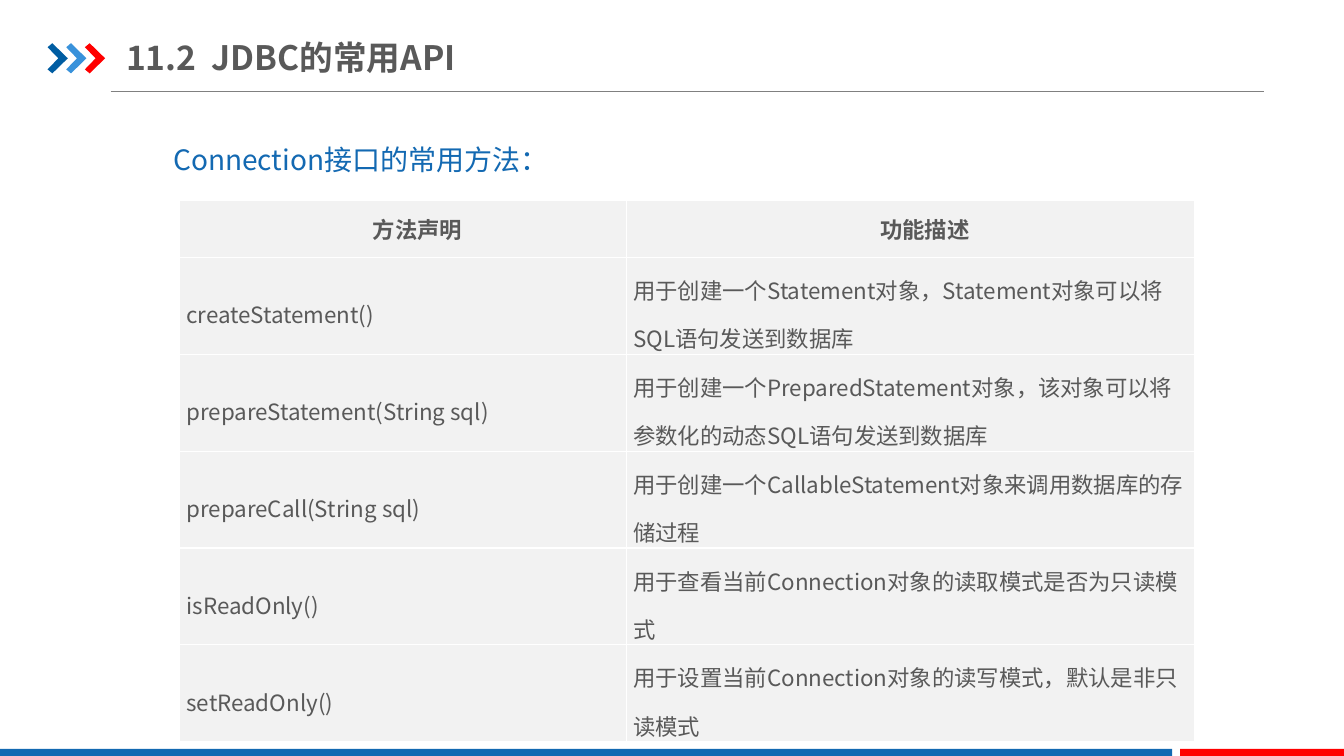
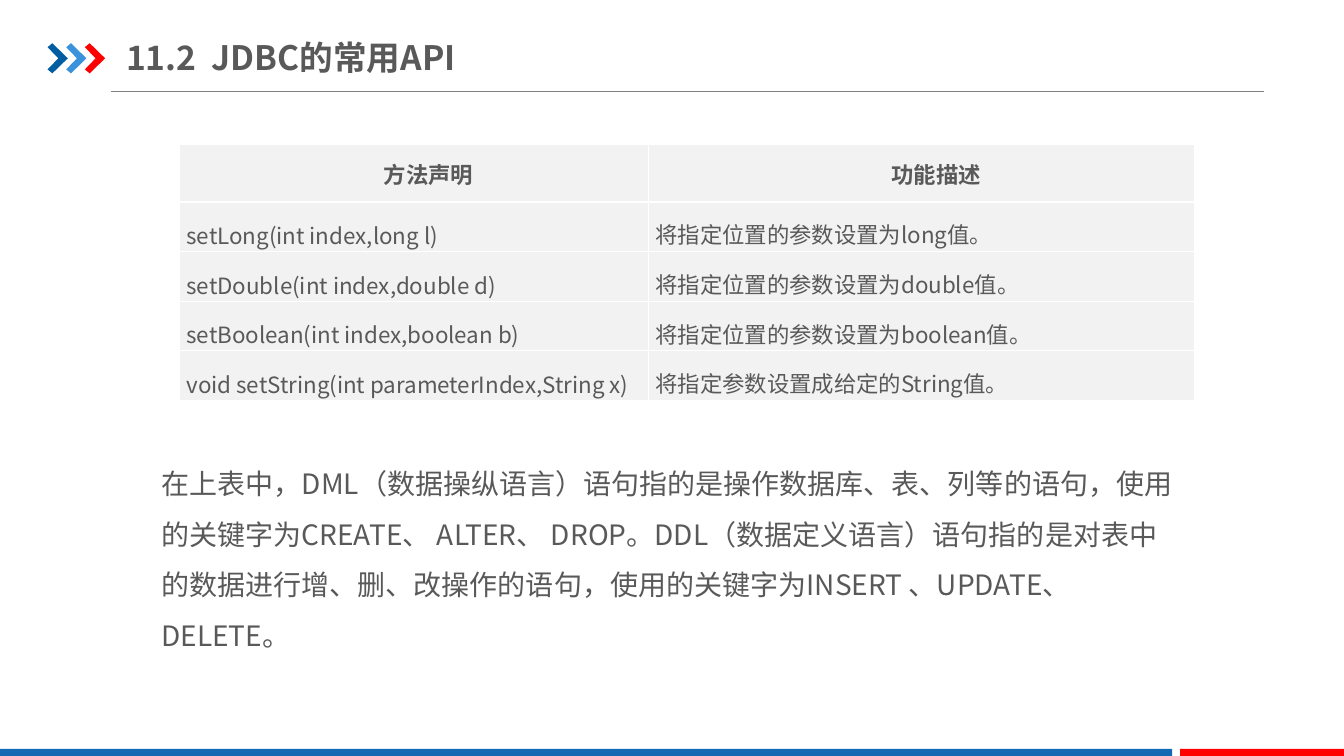
from lxml import etree
from pptx import Presentation
from pptx import util as u
from pptx.dml import color as dml
from pptx.enum import shapes, text
from pptx.oxml import ns

FONT = "Noto Sans CJK SC"
HUES = {
    "blue": "1369B2", "navy": "005DA2", "sky": "3992DB", "red": "FF0000",
    "gray": "595959", "rule": "808080", "cell": "F2F2F2", "white": "FFFFFF",
}
TITLE = {"size": u.Pt(24), "bold": True}
LEAD = {"size": u.Pt(20), "bold": False}
HEAD = {"size": u.Pt(16), "bold": True}
BODY = {"size": u.Pt(16), "bold": False}
HEADER = ("方法声明", "功能描述")


def rgb(hue):
    return dml.RGBColor.from_string(HUES[hue])


def cm(*vals):
    return [u.Cm(val) for val in vals]


def apply(item, vals):
    for key, val in vals.items():
        setattr(item, key, val)


def write(para, words, look, hue="gray"):
    run = para.add_run()
    run.text = words
    apply(run.font, {"name": FONT, **look})
    run.font.color.rgb = rgb(hue)
    props = run.font._element
    etree.SubElement(props, ns.qn("a:ea"), typeface=FONT)
    return props


def paint(shape, hue):
    shape.shadow.inherit = False
    shape.fill.solid()
    shape.fill.fore_color.rgb = rgb(hue)
    shape.line.fill.background()


def label(slide, box, frame):
    area = slide.shapes.add_textbox(*cm(*box)).text_frame
    apply(area, frame)
    return area.paragraphs[0]


def arrows(slide, box):
    left, top, wide, high = box
    step, mid = 0.47, high / 2
    outline = [(0, 0.1), (0.12, 0), (wide, mid), (0.12, high),
               (0, high - 0.1), (0.27, mid)]
    group = slide.shapes.add_group_shape()
    for n, hue in enumerate(("navy", "sky", "red")):
        pts = [cm(left + n * step + x, top + y) for x, y in outline]
        pen = group.shapes.build_freeform(*pts[0])
        pen.add_line_segments(pts[1:], close=True)
        paint(pen.convert_to_shape(), hue)


def title(slide, box):
    para = label(slide, box, {
        "margin_left": 0, "margin_right": 0, "word_wrap": True,
        "vertical_anchor": text.MSO_ANCHOR.MIDDLE})
    write(para, "11.2", TITLE)
    write(para, " ", TITLE).set("spc", "540")
    write(para, "JDBC的常用API", TITLE)


def rule(slide, left, right, top):
    line = slide.shapes.add_connector(
        shapes.MSO_CONNECTOR.STRAIGHT, *cm(left, top, right, top))
    line.line.color.rgb = rgb("rule")
    line.line.width = u.Pt(0.75)
    etree.SubElement(line._element.spPr, ns.qn("a:effectLst"))


def bands(slide, top, high):
    for left, wide, hue in ((0, 29.54, "blue"), (29.74, 4.13, "red")):
        band = slide.shapes.add_shape(
            shapes.MSO_SHAPE.RECTANGLE, *cm(left, top, wide, high))
        paint(band, hue)


def page(deck):
    slide = deck.slides.add_slide(deck.slide_layouts[6])
    rule(slide, 2.79, 31.86, 2.31)
    arrows(slide, (1.2, 1.09, 0.51, 0.76))
    bands(slide, 18.87, 0.18)
    title(slide, (3.18, 0.74, 12.98, 1.4))
    return slide


def edge(cell):
    props = cell._tc.get_or_add_tcPr()
    for n, side in enumerate(("lnL", "lnR", "lnT", "lnB")):
        line = etree.Element(ns.qn("a:" + side), w=str(u.Pt(1)))
        fill = etree.SubElement(line, ns.qn("a:solidFill"))
        etree.SubElement(fill, ns.qn("a:srgbClr"), val=HUES["white"])
        props.insert(n, line)


def fill_cell(cell, words, head, first):
    middle = head or first
    apply(cell, {
        "margin_left": u.Cm(0.18), "margin_right": u.Cm(0.18),
        "margin_top": 0, "margin_bottom": 0,
        "vertical_anchor":
            text.MSO_ANCHOR.MIDDLE if middle else text.MSO_ANCHOR.TOP})
    cell.fill.solid()
    cell.fill.fore_color.rgb = rgb("cell")
    edge(cell)
    para = cell.text_frame.paragraphs[0]
    if head:
        para.alignment = text.PP_ALIGN.CENTER
        para._p.get_or_add_pPr().set("indent", str(u.Cm(0.74)))
    else:
        para.line_spacing = 1.5
    write(para, words, HEAD if head else BODY)


def table(slide, left, top, cols, high, body):
    rows = [HEADER, *body]
    highs = [1.44] + [high] * len(body)
    grid = slide.shapes.add_table(
        len(rows), len(cols),
        *cm(left, top, sum(cols), sum(highs))).table
    apply(grid, {"first_row": False, "horz_banding": False})
    for col, wide in zip(grid.columns, cols):
        col.width = u.Cm(wide)
    for r, (row, tall) in enumerate(zip(rows, highs)):
        grid.rows[r].height = u.Cm(tall)
        for c, words in enumerate(row):
            fill_cell(grid.cell(r, c), words, r == 0, c == 0)


def links(deck):
    slide = page(deck)
    table(slide, 4.52, 5.05, (11.26, 14.32), 2.44, [
        ("createStatement()",
         "用于创建一个Statement对象，Statement对象可以将SQL语句发送到数据库"),
        ("prepareStatement(String sql)",
         "用于创建一个PreparedStatement对象，该对象可以将参数化的动态SQL语句发送到数据库"),
        ("prepareCall(String sql)",
         "用于创建一个CallableStatement对象来调用数据库的存储过程"),
        ("isReadOnly()",
         "用于查看当前Connection对象的读取模式是否为只读模式"),
        ("setReadOnly()",
         "用于设置当前Connection对象的读写模式，默认是非只读模式"),
    ])
    para = label(slide, (4.12, 3.47, 10.03, 1.12), {"word_wrap": False})
    write(para, "Connection接口的常用方法：", LEAD, "blue")


def setters(deck):
    slide = page(deck)
    table(slide, 4.52, 3.65, (11.82, 13.76), 1.25, [
        ("setLong(int index,long l)", "将指定位置的参数设置为long值。"),
        ("setDouble(int index,double d)", "将指定位置的参数设置为double值。"),
        ("setBoolean(int index,boolean b)", "将指定位置的参数设置为boolean值。"),
        ("void setString(int parameterIndex,String x)",
         "将指定参数设置成给定的String值。"),
    ])
    para = label(slide, (3.82, 11.22, 26.26, 4.09), {"word_wrap": True})
    para.line_spacing = 1.5
    write(para, "在上表中，DML（数据操纵语言）语句指的是操作数据库、表、列等的语句，"
                "使用的关键字为CREATE、 ALTER、 DROP。DDL（数据定义语言）语句指的是"
                "对表中的数据进行增、删、改操作的语句，使用的关键字为INSERT 、UPDATE、 "
                "DELETE。", LEAD)


def main():
    deck = Presentation()
    apply(deck, {"slide_width": u.Cm(33.87), "slide_height": u.Cm(19.05)})
    links(deck)
    setters(deck)
    deck.save("out.pptx")


if __name__ == "__main__":
    main()
